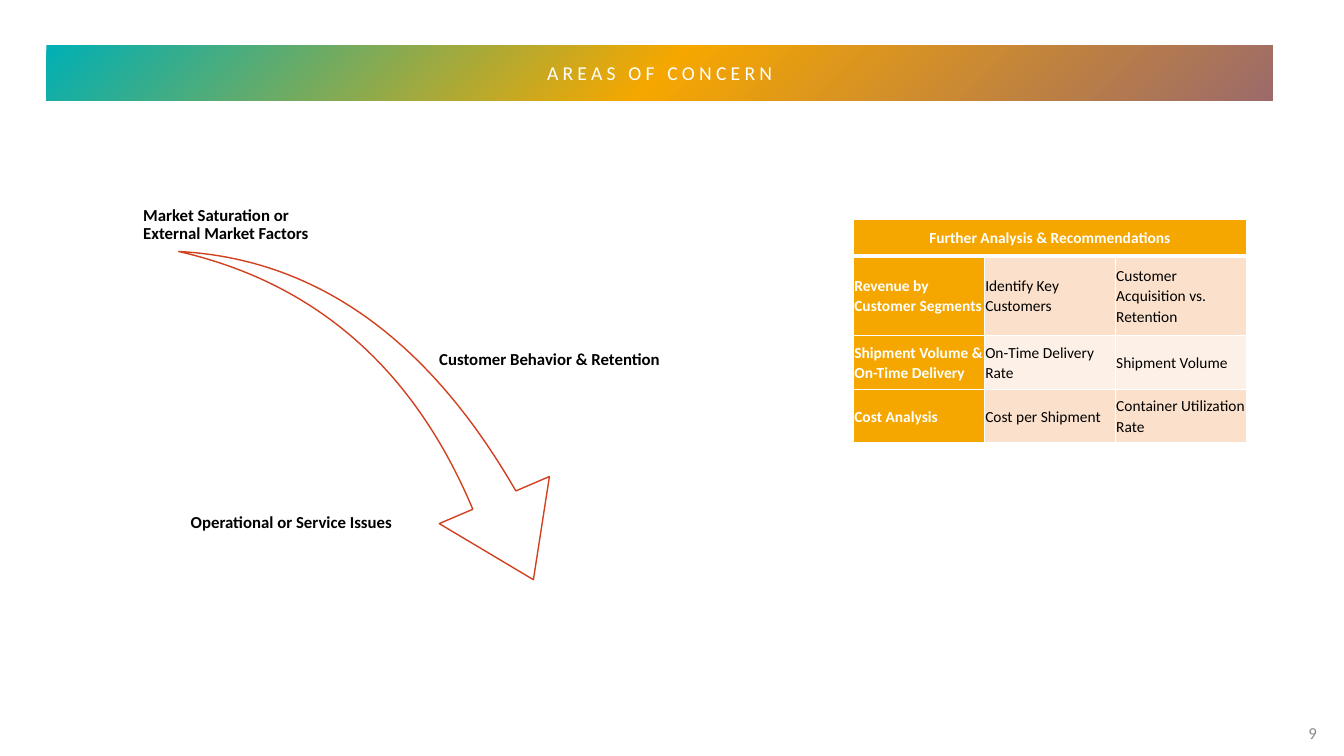
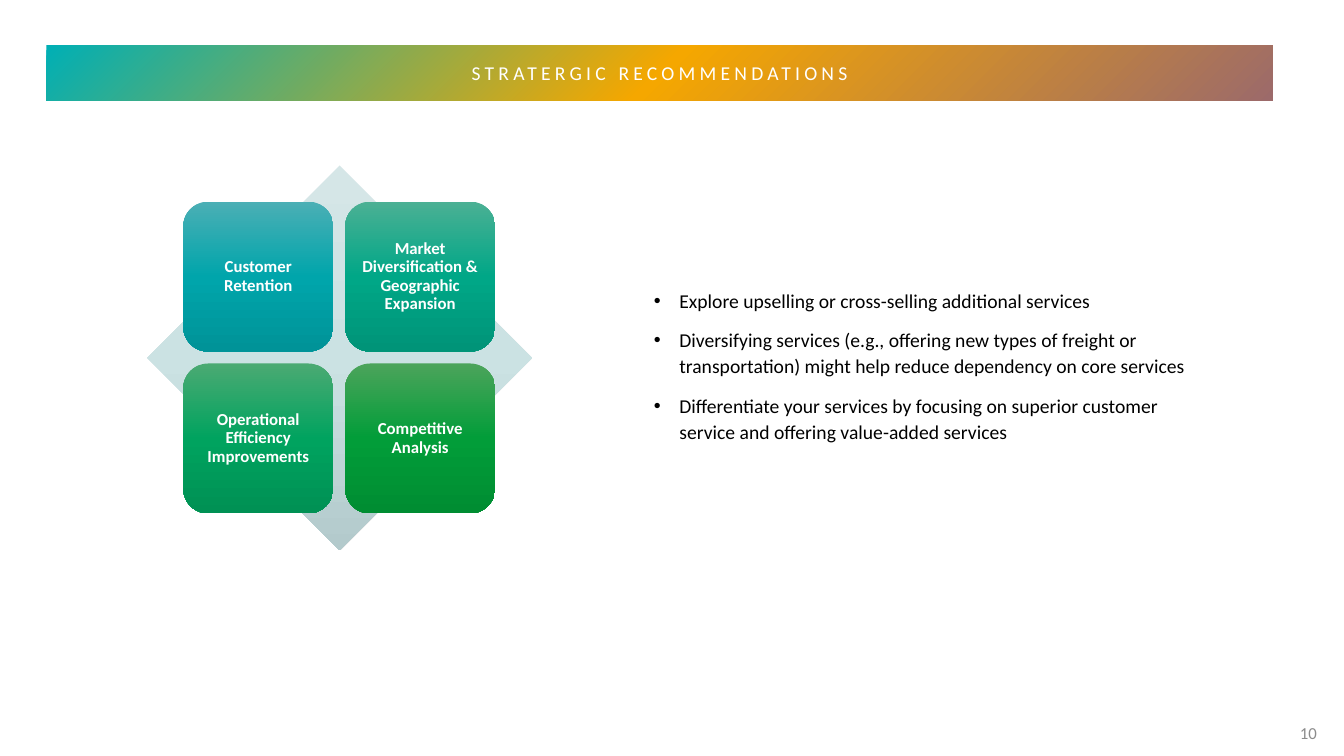
from dataclasses import dataclass

from pptx import Presentation
from pptx import util as u
from pptx.dml.color import RGBColor
from pptx.enum import shapes, text
from pptx.oxml import parse_xml
from pptx.oxml.ns import nsdecls, qn

FONT = "Calibri"
COLORS = {
    "white": "FFFFFF", "black": "000000", "grey": "8C8C8C", "red": "D14120",
    "amber": "F5A700", "peach": "FBE1CC", "cream": "FDF1E7",
}
GRADIENTS = {
    "band": ("9C6A6A", "F5A700", "00AFB5"),
    "diamond": ("D5E6E7", "CBE2E3", "B3CACC"),
    "teal": ("4BAFB5", "00A5AB", "009398"),
    "sea": ("4BB094", "00A787", "009478"),
    "emerald": ("4BAA73", "00A35F", "009154"),
    "green": ("4BA45B", "029D39", "008D32"),
}
LINEAR_DOWN = '<a:lin ang="5400000" scaled="0"/>'
FROM_CORNER = '<a:path path="circle"><a:fillToRect l="100000" t="100000"/></a:path>'
LEFT, CENTER, RIGHT = (text.PP_ALIGN.LEFT, text.PP_ALIGN.CENTER, text.PP_ALIGN.RIGHT)
TOP, MIDDLE, BOTTOM = (text.MSO_ANCHOR.TOP, text.MSO_ANCHOR.MIDDLE, text.MSO_ANCHOR.BOTTOM)


@dataclass
class Box:
    """A frame in centimetres."""
    left: float
    top: float
    width: float
    height: float

    def lengths(self) -> tuple:
        return tuple(u.Cm(value) for value in (self.left, self.top, self.width, self.height))


@dataclass
class Style:
    size: float = 12
    color: str = "black"
    bold: bool = False
    align: text.PP_ALIGN = LEFT
    spacing: float = 1.0


@dataclass
class Label:
    words: str
    box: Box
    anchor: text.MSO_ANCHOR
    align: text.PP_ALIGN = LEFT


@dataclass
class Tile:
    words: str
    gradient: str


CONCERNS = [
    Label("Market Saturation or External Market Factors", Box(3.56, 4.24, 4.95, 1.93), BOTTOM),
    Label("Customer Behavior & Retention", Box(11.02, 8.1, 5.87, 1.93), MIDDLE),
    Label("Operational or Service Issues", Box(3.99, 12.9, 6.71, 1.02), TOP, CENTER),
]
TABLE_HEADING = "Further Analysis & Recommendations"
TABLE_ROWS = [
    ("Revenue by Customer Segments", "Identify Key Customers",
     "Customer Acquisition vs. Retention"),
    ("Shipment Volume & On-Time Delivery", "On-Time Delivery Rate", "Shipment Volume"),
    ("Cost Analysis", "Cost per Shipment", "Container Utilization Rate"),
]
ROW_HEIGHTS = (0.91, 2.01, 1.35, 1.35)
COLUMN_WIDTH = 3.3
TILES = [
    Tile("Customer Retention", "teal"),
    Tile("Market Diversification & Geographic Expansion", "sea"),
    Tile("Operational Efficiency Improvements", "emerald"),
    Tile("Competitive Analysis", "green"),
]
RECOMMENDATIONS = [
    "Explore upselling or cross-selling additional services",
    "Diversifying services (e.g., offering new types of freight or transportation) "
    "might help reduce dependency on core services",
    "Differentiate your services by focusing on superior customer service "
    "and offering value-added services",
]


# Shared helpers
def rgb(name: str) -> RGBColor:
    return RGBColor.from_string(COLORS[name])


def format_paragraph(paragraph, style: Style) -> None:
    paragraph.alignment = style.align
    paragraph.line_spacing = style.spacing
    font = paragraph.font
    font.name, font.size, font.bold = FONT, u.Pt(style.size), style.bold
    font.color.rgb = rgb(style.color)


def write(frame, words: str, style: Style, anchor: text.MSO_ANCHOR, inset: float) -> None:
    frame.word_wrap = True
    frame.auto_size = text.MSO_AUTO_SIZE.NONE
    frame.vertical_anchor = anchor
    frame.margin_left = frame.margin_right = u.Cm(inset)
    frame.margin_top = frame.margin_bottom = u.Cm(inset)
    frame.text = words
    for paragraph in frame.paragraphs:
        format_paragraph(paragraph, style)


def place(shape, box: Box) -> None:
    shape.left, shape.top, shape.width, shape.height = box.lengths()


def fill_gradient(shape, name: str, direction: str = LINEAR_DOWN) -> None:
    shape.fill.gradient()
    gradient = shape.element.spPr.find(qn("a:gradFill"))
    stops = "".join(
        f'<a:gs pos="{index * 50000}"><a:srgbClr val="{color}"/></a:gs>'
        for index, color in enumerate(GRADIENTS[name]))
    gradient.getparent().replace(gradient, parse_xml(
        f'<a:gradFill {nsdecls("a")} rotWithShape="1">'
        f'<a:gsLst>{stops}</a:gsLst>{direction}</a:gradFill>'))


def add_plain_shape(slide, kind: shapes.MSO_SHAPE, box: Box):
    shape = slide.shapes.add_shape(kind, *box.lengths())
    shape.shadow.inherit = False
    shape.line.fill.background()
    return shape


def add_text(slide, words: str, box: Box, style: Style, anchor: text.MSO_ANCHOR,
             inset: float) -> None:
    frame = slide.shapes.add_textbox(*box.lengths()).text_frame
    write(frame, words, style, anchor, inset)


def add_slide(presentation, layout_index: int, title: str, number: int):
    slide = presentation.slides.add_slide(presentation.slide_layouts[layout_index])
    band = slide.shapes.title
    place(band, Box(1.17, 1.14, 30.91, 1.4))
    fill_gradient(band, "band", FROM_CORNER)
    write(band.text_frame, title, Style(14, "white", align=CENTER), MIDDLE, 0.13)
    for run in band.text_frame.paragraphs[0].runs:
        run.font.size = u.Pt(14)
        run.font.element.set("spc", "300") if hasattr(run.font, "element") else \
            run._r.get_or_add_rPr().set("spc", "300")
    add_text(slide, str(number), Box(32.08, 17.96, 1.24, 1.02),
             Style(12, "grey", align=RIGHT), MIDDLE, 0.13)
    return slide


# Table
def set_borders(cell, widths: dict[str, float]) -> None:
    properties = cell._tc.get_or_add_tcPr()
    for side in "LRTB":
        width = int(u.Pt(widths.get(side, 1)))
        properties.append(parse_xml(
            f'<a:ln{side} {nsdecls("a")} w="{width}"><a:solidFill>'
            f'<a:srgbClr val="{COLORS["white"]}"/></a:solidFill></a:ln{side}>'))


def format_cell(cell, words: str, fill: str, style: Style, widths: dict[str, float]) -> None:
    set_borders(cell, widths)
    cell.fill.solid()
    cell.fill.fore_color.rgb = rgb(fill)
    cell.vertical_anchor = MIDDLE
    cell.margin_left = cell.margin_right = u.Cm(0.02)
    cell.margin_top = cell.margin_bottom = u.Cm(0.02)
    cell.text = words
    format_paragraph(cell.text_frame.paragraphs[0], style)


def add_analysis_table(slide) -> None:
    columns = len(TABLE_ROWS[0])
    box = Box(21.51, 5.54, COLUMN_WIDTH * columns, sum(ROW_HEIGHTS))
    table = slide.shapes.add_table(len(ROW_HEIGHTS), columns, *box.lengths()).table
    table.first_row = table.horz_banding = False
    for column in table.columns:
        column.width = u.Cm(COLUMN_WIDTH)
    for row, height in zip(table.rows, ROW_HEIGHTS):
        row.height = u.Cm(height)

    table.cell(0, 0).merge(table.cell(0, columns - 1))
    for column in range(columns):
        format_cell(table.cell(0, column), "" if column else TABLE_HEADING, "amber",
                    Style(11, "white", True, CENTER, 1.07), {"B": 3})
    for row, entries in enumerate(TABLE_ROWS, start=1):
        widths = {"T": 3} if row == 1 else {}
        for column, words in enumerate(entries):
            heading = column == 0
            band = "peach" if row % 2 else "cream"
            format_cell(table.cell(row, column), words, "amber" if heading else band,
                        Style(11, "white" if heading else "black", heading, spacing=1.07),
                        widths)


# Slides
def add_concerns(presentation) -> None:
    slide = add_slide(presentation, 5, "AREAS OF CONCERN", 9)
    arrow = add_plain_shape(slide, shapes.MSO_SHAPE.SWOOSH_ARROW, Box(4.27, 6.65, 10.49, 7.32))
    arrow.rotation = 73.3
    arrow.adjustments[0], arrow.adjustments[1] = 0.16, 0.31
    arrow.fill.solid()
    arrow.fill.fore_color.rgb = rgb("white")
    arrow.line.color.rgb = rgb("red")
    arrow.line.width = u.Pt(1)
    for label in CONCERNS:
        add_text(slide, label.words, label.box,
                 Style(bold=True, align=label.align, spacing=0.9), label.anchor, 0.05)
    add_analysis_table(slide)


def add_recommendations(presentation) -> None:
    slide = add_slide(presentation, 1, "STRATERGIC RECOMMENDATIONS", 10)

    # Diamond with a two by two grid of tiles
    diamond = add_plain_shape(slide, shapes.MSO_SHAPE.DIAMOND, Box(3.71, 4.17, 9.7, 9.7))
    fill_gradient(diamond, "diamond")
    side, gap = 3.78, 0.3
    for index, tile in enumerate(TILES):
        row, column = divmod(index, 2)
        box = Box(4.62 + column * (side + gap), 5.08 + row * (side + gap), side, side)
        shape = add_plain_shape(slide, shapes.MSO_SHAPE.ROUNDED_RECTANGLE, box)
        fill_gradient(shape, tile.gradient)
        write(shape.text_frame, tile.words, Style(12, "white", True, CENTER, 0.9), MIDDLE, 0.12)

    # Bulleted list
    body = slide.placeholders[1]
    place(body, Box(16.23, 6.07, 14.35, 6.35))
    write(body.text_frame, "\n".join(RECOMMENDATIONS), Style(14, spacing=1.1), TOP, 0.25)
    body.text_frame.margin_top = u.Cm(1.14)
    for paragraph in body.text_frame.paragraphs:
        paragraph.space_before = u.Pt(10)
        properties = paragraph._p.get_or_add_pPr()
        properties.set("marL", str(u.Cm(0.64)))
        properties.set("indent", str(-u.Cm(0.64)))


def main() -> None:
    presentation = Presentation()
    presentation.slide_width, presentation.slide_height = u.Cm(33.87), u.Cm(19.05)
    add_concerns(presentation)
    add_recommendations(presentation)
    presentation.save("out.pptx")


if __name__ == "__main__":
    main()
